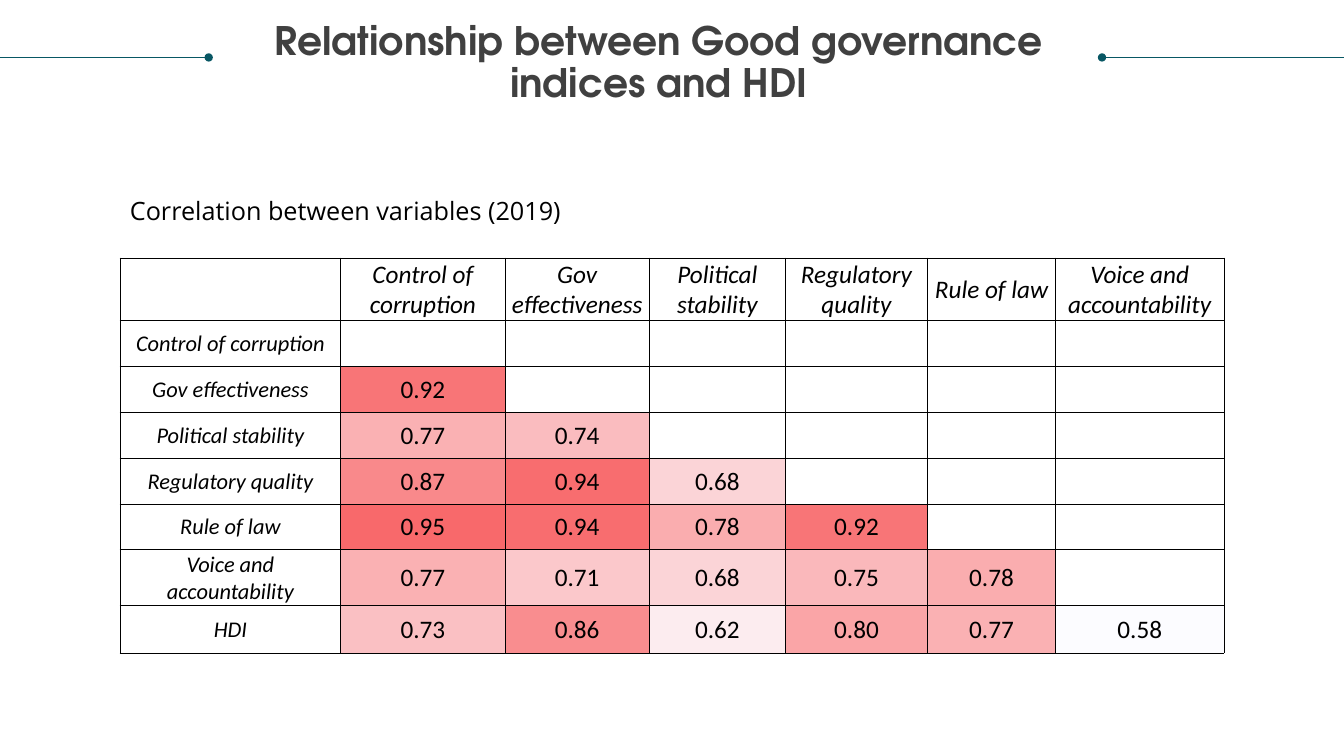
import lxml.etree
import pptx
import pptx.dml.color
import pptx.enum.shapes
import pptx.enum.text
import pptx.oxml.ns
import pptx.util

Inches = pptx.util.Inches
Pt = pptx.util.Pt
ALIGN = pptx.enum.text.PP_ALIGN
ANCHOR = pptx.enum.text.MSO_ANCHOR

COLORS = {
    "rule": "085764",
    "title": "404040",
    "text": "000000",
    "weak": "FCFCFF",
    "strong": "F8696B",
}
INDICES = [
    "Control of corruption",
    "Gov effectiveness",
    "Political stability",
    "Regulatory quality",
    "Rule of law",
    "Voice and accountability",
]
CORRELATIONS = [
    [],
    [0.92],
    [0.77, 0.74],
    [0.87, 0.94, 0.68],
    [0.95, 0.94, 0.78, 0.92],
    [0.77, 0.71, 0.68, 0.75, 0.78],
    [0.73, 0.86, 0.62, 0.80, 0.77, 0.58],
]
COLUMN_WIDTHS = [2.19, 1.63, 1.43, 1.35, 1.41, 1.27, 1.67]
HEADER_HEIGHT = Inches(0.6)
ROW_HEIGHT = Inches(2.73) // 6
LAST_ROW_HEIGHT = Inches(0.47)


def rgb(color):
    return pptx.dml.color.RGBColor.from_string(color)


def heat_color(value):
    values = [number for row in CORRELATIONS for number in row]
    share = (value - min(values)) / (max(values) - min(values))
    channels = zip(bytes.fromhex(COLORS["weak"]), bytes.fromhex(COLORS["strong"]))
    return "".join(f"{round(low + (high - low) * share):02X}" for low, high in channels)


def add_element(parent, tag, **attributes):
    return lxml.etree.SubElement(parent, pptx.oxml.ns.qn(tag), **attributes)


class SlideBuilder:
    def __init__(self, slide):
        self.slide = slide

    def format_text(self, text_frame, font, size, color, bold=False, italic=False, align=ALIGN.LEFT):
        for paragraph in text_frame.paragraphs:
            paragraph.alignment = align
            for run in paragraph.runs:
                run.font.name = font
                run.font.size = Pt(size)
                run.font.bold = bold
                run.font.italic = italic
                run.font.color.rgb = rgb(COLORS[color])

    def set_margins(self, target, left, top, right, bottom):
        target.margin_left, target.margin_top = Inches(left), Inches(top)
        target.margin_right, target.margin_bottom = Inches(right), Inches(bottom)

    def title(self, text, left, top, width, height):
        shape = self.slide.shapes.title
        shape.left, shape.top = Inches(left), Inches(top)
        shape.width, shape.height = Inches(width), Inches(height)
        text_frame = shape.text_frame
        text_frame.text = text
        text_frame.word_wrap = True
        text_frame.auto_size = pptx.enum.text.MSO_AUTO_SIZE.NONE
        text_frame.vertical_anchor = ANCHOR.TOP
        self.set_margins(text_frame, 0, 0, 0, 0)
        text_frame.paragraphs[0].line_spacing = 0.9
        self.format_text(text_frame, "TeX Gyre Adventor", 28, "title", bold=True, align=ALIGN.CENTER)

    def caption(self, text, left, top, width, height):
        shape = self.slide.shapes.add_textbox(Inches(left), Inches(top), Inches(width), Inches(height))
        shape.text_frame.word_wrap = True
        shape.text_frame.text = text
        self.format_text(shape.text_frame, "Open Sans", 18, "text")

    def dotted_rule(self, edge, dot, height):
        connector = self.slide.shapes.add_connector(
            pptx.enum.shapes.MSO_CONNECTOR.STRAIGHT,
            Inches(edge), Inches(height), Inches(dot), Inches(height),
        )
        connector.line.color.rgb = rgb(COLORS["rule"])
        connector.line.width = Pt(0.5)
        add_element(connector.line._get_or_add_ln(), "a:tailEnd", type="oval")
        add_element(connector._element.spPr, "a:effectLst")

    def cell_borders(self, cell):
        properties = cell._tc.get_or_add_tcPr()
        for side in ("a:lnL", "a:lnR", "a:lnT", "a:lnB"):
            line = add_element(properties, side, w=str(Pt(0.5)))
            add_element(add_element(line, "a:solidFill"), "a:srgbClr", val=COLORS["text"])

    def cell(self, cell, text="", size=18, italic=False, fill=None):
        self.cell_borders(cell)
        if fill:
            cell.fill.solid()
            cell.fill.fore_color.rgb = rgb(fill)
        else:
            cell.fill.background()
        cell.vertical_anchor = ANCHOR.MIDDLE
        self.set_margins(cell, 0.01, 0.01, 0.01, 0)
        cell.text_frame.text = text
        self.format_text(cell.text_frame, "Calibri", size, "text", italic=italic, align=ALIGN.CENTER)

    def correlation_table(self, left, top):
        row_names = INDICES + ["HDI"]
        heights = [HEADER_HEIGHT] + [ROW_HEIGHT] * len(INDICES) + [LAST_ROW_HEIGHT]
        table = self.slide.shapes.add_table(
            len(heights), len(COLUMN_WIDTHS), Inches(left), Inches(top),
            Inches(sum(COLUMN_WIDTHS)), sum(heights),
        ).table
        table.first_row = table.horz_banding = False
        for column, width in zip(table.columns, COLUMN_WIDTHS):
            column.width = Inches(width)
        for row, height in zip(table.rows, heights):
            row.height = height
        for index, name in enumerate([""] + INDICES):
            self.cell(table.cell(0, index), name, italic=True)
        for row, (name, values) in enumerate(zip(row_names, CORRELATIONS), start=1):
            self.cell(table.cell(row, 0), name, size=16, italic=True)
            for column in range(1, len(COLUMN_WIDTHS)):
                if column <= len(values):
                    value = values[column - 1]
                    self.cell(table.cell(row, column), f"{value:.2f}", fill=heat_color(value))
                else:
                    self.cell(table.cell(row, column))


presentation = pptx.Presentation()
presentation.slide_width = Inches(13.33)
presentation.slide_height = Inches(7.5)
builder = SlideBuilder(presentation.slides.add_slide(presentation.slide_layouts[5]))
builder.dotted_rule(13.33, 10.93, 0.57)
builder.dotted_rule(0, 2.07, 0.57)
builder.title("Relationship between Good governance indices and HDI", 2.51, 0.21, 8.05, 0.85)
builder.correlation_table(1.19, 2.56)
builder.caption("Correlation between variables (2019)", 1.19, 1.89, 4.54, 0.4)
presentation.save("out.pptx")
